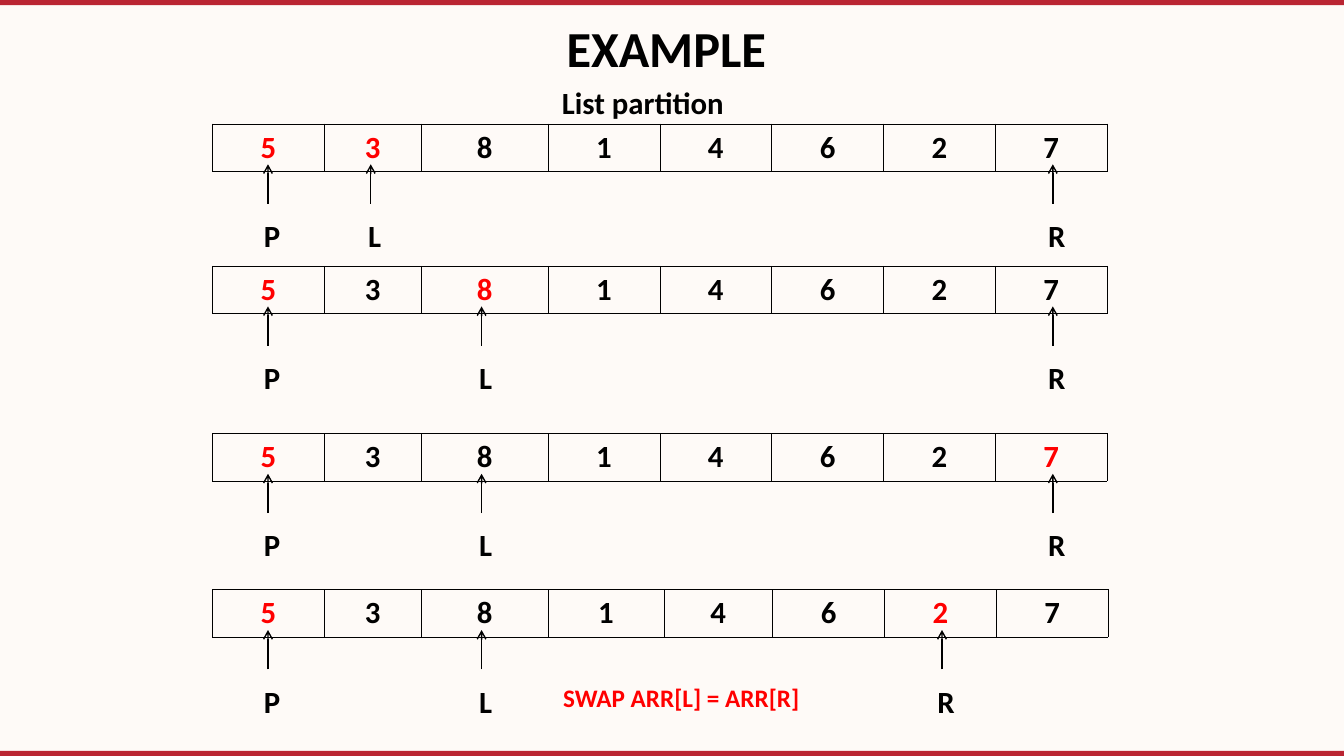
from lxml import etree
from pptx import Presentation
from pptx.dml.color import RGBColor
from pptx.enum.shapes import MSO_CONNECTOR, MSO_SHAPE
from pptx.enum.text import MSO_ANCHOR, PP_ALIGN
from pptx.oxml.ns import qn
from pptx.util import Inches, Pt

CENTER, LEFT = PP_ALIGN.CENTER, PP_ALIGN.LEFT
MIDDLE = MSO_ANCHOR.MIDDLE
STRAIGHT, RECTANGLE = MSO_CONNECTOR.STRAIGHT, MSO_SHAPE.RECTANGLE

SLIDE_W, SLIDE_H = 13.34, 7.5
BLACK, RED, BAR_RED, CREAM = "000000", "FF0000", "BA2532", "FEFAF7"

TITLE = "EXAMPLE "
SUBTITLE = "List partition "
SWAP_NOTE = "SWAP ARR[L] = ARR[R]"
NUMBERS = [5, 3, 8, 1, 4, 6, 2, 7]
COLUMNS = [1.11, 0.96, 1.26, 1.11, 1.11, 1.11, 1.11, 1.11]
LAST_COLUMNS = [1.11, 0.96, 1.26, 1.15, 1.08, 1.11, 1.11, 1.11]
# Each step: top, column widths, red columns, column under each pointer
STEPS = [
    (1.23, COLUMNS, {0, 1}, {"L": 1, "R": 7, "P": 0}),
    (2.64, COLUMNS, {0, 2}, {"L": 2, "R": 7, "P": 0}),
    (4.30, COLUMNS, {0, 7}, {"L": 2, "R": 7, "P": 0}),
    (5.85, LAST_COLUMNS, {0, 6}, {"L": 2, "R": 6, "P": 0}),
]
POINTER_X = {0: 2.66, 1: 3.68, 2: 4.78, 6: 9.35, 7: 10.45}
LIST_LEFT, ROW_H = 2.11, 0.47
ARROW_TIP, ARROW_START, LABEL_DROP = 0.4, 0.79, 0.87
LABEL_W, LABEL_SHIFT = 0.7, 0.31


def rgb(color):
    return RGBColor.from_string(color)


def write(frame, text, size, color=BLACK, align=CENTER):
    frame.text = text
    paragraph = frame.paragraphs[0]
    paragraph.alignment = align
    font = paragraph.runs[0].font
    font.name, font.size, font.bold = "Calibri", Pt(size), True
    font.color.rgb = rgb(color)


def add_label(slide, text, left, top, width, height, size=22, color=BLACK, align=CENTER):
    label = slide.shapes.add_textbox(*map(Inches, (left, top, width, height)))
    label.text_frame.word_wrap = True
    write(label.text_frame, text, size, color, align)


def add_bar(slide, top):
    bar = slide.shapes.add_shape(RECTANGLE, 0, Inches(top), Inches(SLIDE_W), Inches(0.05))
    bar.shadow.inherit = False
    bar.fill.solid()
    bar.fill.fore_color.rgb = rgb(BAR_RED)
    bar.line.fill.background()


def add_pointer(slide, name, x, list_top):
    add_label(slide, name, x - LABEL_SHIFT, list_top + LABEL_DROP, LABEL_W, ROW_H)
    arrow = slide.shapes.add_connector(
        STRAIGHT, Inches(x), Inches(list_top + ARROW_START), Inches(x), Inches(list_top + ARROW_TIP))
    arrow.line.color.rgb = rgb(BLACK)
    arrow.line.width = Pt(1)
    properties = arrow._element.spPr
    etree.SubElement(properties.find(qn("a:ln")), qn("a:tailEnd"), type="arrow")
    etree.SubElement(properties, qn("a:effectLst"))


def add_borders(cell):
    properties = cell._tc.get_or_add_tcPr()
    for side in ("a:lnL", "a:lnR", "a:lnT", "a:lnB"):
        border = etree.SubElement(properties, qn(side), w=str(Pt(0.45)))
        fill = etree.SubElement(border, qn("a:solidFill"))
        etree.SubElement(fill, qn("a:srgbClr"), val=BLACK)


def add_list(slide, top, widths, red_columns):
    frame = slide.shapes.add_table(
        1, len(NUMBERS), Inches(LIST_LEFT), Inches(top), Inches(sum(widths)), Inches(ROW_H))
    table = frame.table
    table.first_row = table.horz_banding = False
    for index, (number, width) in enumerate(zip(NUMBERS, widths)):
        table.columns[index].width = Inches(width)
        cell = table.cell(0, index)
        write(cell.text_frame, str(number), 22, RED if index in red_columns else BLACK)
        add_borders(cell)
        cell.fill.background()


def main():
    deck = Presentation()
    deck.slide_width, deck.slide_height = Inches(SLIDE_W), Inches(SLIDE_H)
    slide = deck.slides.add_slide(deck.slide_layouts[5])
    slide.background.fill.solid()
    slide.background.fill.fore_color.rgb = rgb(CREAM)
    for top in (SLIDE_H - 0.05, 0):
        add_bar(slide, top)

    title = slide.shapes.title
    title.left, title.top, title.width, title.height = map(Inches, (2.17, 0.21, 9, 0.64))
    write(title.text_frame, TITLE, 36)
    title.text_frame.vertical_anchor = MIDDLE
    title.text_frame.paragraphs[0].line_spacing = 0.8
    add_label(slide, SUBTITLE, 4.15, 0.78, 4.53, ROW_H)

    for top, widths, red_columns, pointers in STEPS:
        for name, column in pointers.items():
            add_pointer(slide, name, POINTER_X[column], top)
        add_list(slide, top, widths, red_columns)
    add_label(slide, SWAP_NOTE, 5.49, 6.72, 3.55, 0.4, 18, RED, LEFT)
    deck.save("out.pptx")


if __name__ == "__main__":
    main()
